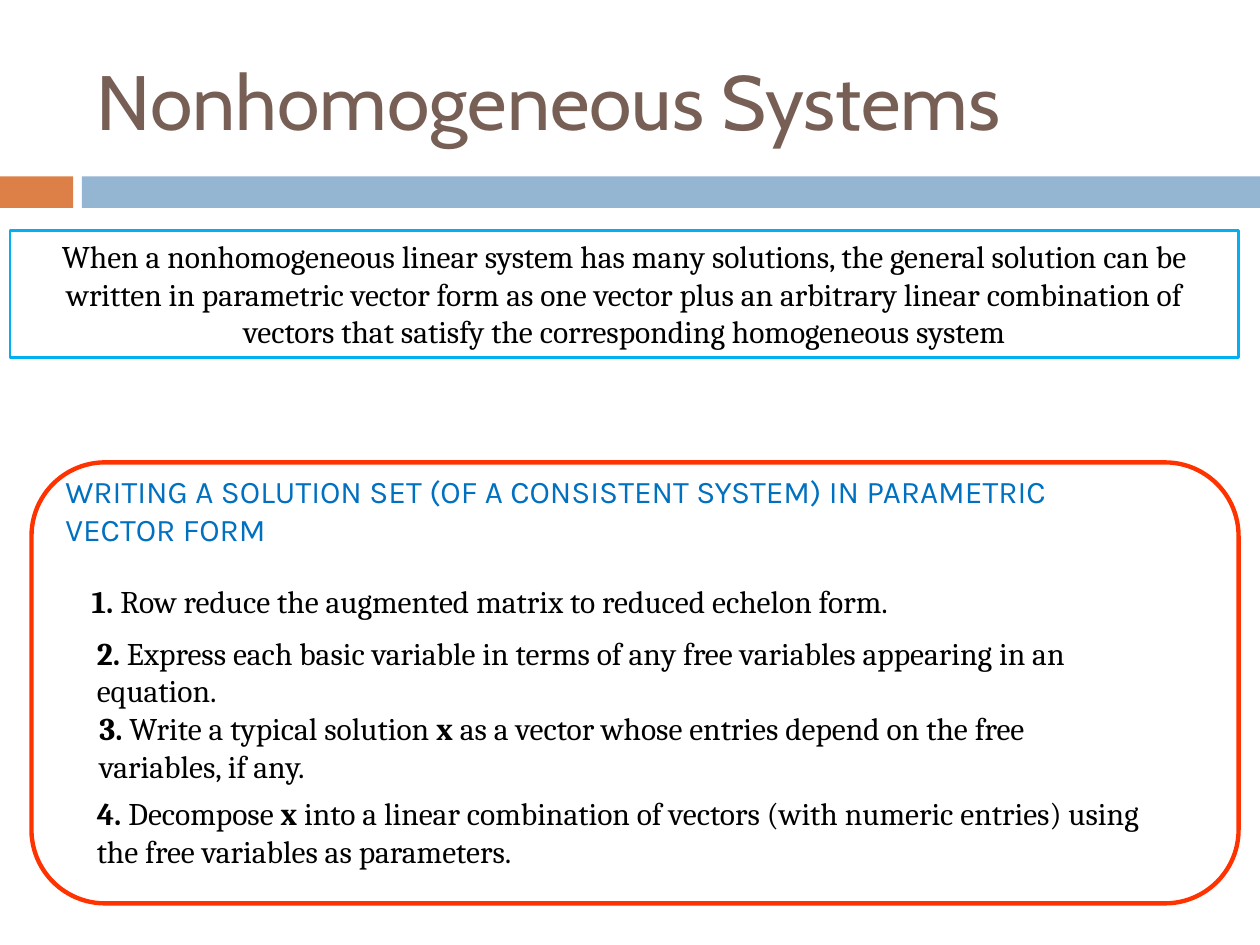
from pptx import Presentation
from pptx.dml.color import RGBColor
from pptx.enum.shapes import MSO_SHAPE
from pptx.enum.text import MSO_ANCHOR, PP_ALIGN
from pptx.util import Inches, Pt

BLACK = RGBColor(0x00, 0x00, 0x00)
BROWN = RGBColor(0x77, 0x5F, 0x55)
ORANGE = RGBColor(0xDD, 0x80, 0x47)
PALE_BLUE = RGBColor(0x94, 0xB6, 0xD2)
SKY_BLUE = RGBColor(0x00, 0xB0, 0xF0)
HEADING_BLUE = RGBColor(0x00, 0x70, 0xC0)
RED = RGBColor(0xFF, 0x33, 0x00)

SLIDE_WIDTH, SLIDE_HEIGHT = 10, 7.5
BAND_TOP, BAND_HEIGHT, BAND_SPLIT, BAND_GAP = 1.4, 0.25, 0.58, 0.07

TITLE = "Nonhomogeneous Systems"
STATEMENT = (
    "When a nonhomogeneous linear system has many solutions, the general solution "
    "can be written in parametric vector form as one vector plus an arbitrary linear "
    "combination of vectors that satisfy the corresponding homogeneous system"
)
HEADING = [
    ["WRITING A SOLUTION SET (OF A CONSISTENT SYSTEM) IN PARAMETRIC"],
    ["VECTOR FORM"],
]
# Each step: box, then paragraphs whose runs alternate between bold and regular.
STEPS = [
    ((0.63, 4.57, 8.67, 0.4),
     [["1. ", "Row reduce the augmented matrix to reduced echelon form."]]),
    ((0.67, 4.98, 8.92, 0.71),
     [["2. ", "Express each basic variable in terms of any free variables appearing in an"],
      ["", "equation."]]),
    ((0.69, 5.58, 9.14, 0.71),
     [["3. ", "Write a typical solution ", "x ",
       "as a vector whose entries depend on the free"],
      ["", "variables, if any."]]),
    ((0.67, 6.25, 8.83, 0.71),
     [["4. ", "Decompose ", "x ",
       "into a linear combination of vectors (with numeric entries) using "
       "the free variables as parameters."]]),
]


def add_box(slide, kind, box, fill=None, line=None, line_width=1.5):
    """Add a preset shape with an optional fill and outline."""
    shape = slide.shapes.add_shape(kind, *map(Inches, box))
    shape.shadow.inherit = False
    if fill is None:
        shape.fill.background()
    else:
        shape.fill.solid()
        shape.fill.fore_color.rgb = fill
    if line is None:
        shape.line.fill.background()
    else:
        shape.line.color.rgb = line
        shape.line.width = Pt(line_width)
    return shape


def write(shape, paragraphs, font="Cambria", size=18, color=BLACK,
          alternate_bold=False, align=PP_ALIGN.LEFT, anchor=MSO_ANCHOR.TOP):
    """Fill a shape with paragraphs, each a list of run texts."""
    frame = shape.text_frame
    frame.word_wrap = True
    frame.vertical_anchor = anchor
    for index, texts in enumerate(paragraphs):
        paragraph = frame.add_paragraph() if index else frame.paragraphs[0]
        paragraph.alignment = align
        for position, text in enumerate(texts):
            if not text:
                continue
            run = paragraph.add_run()
            run.text = text
            run.font.name = font
            run.font.size = Pt(size)
            run.font.color.rgb = color
            run.font.bold = alternate_bold and position % 2 == 0


def add_text(slide, box, paragraphs, **style):
    """Add a wrapped text box."""
    write(slide.shapes.add_textbox(*map(Inches, box)), paragraphs, **style)


def build():
    """Build and save the slide."""
    presentation = Presentation()
    presentation.slide_width = Inches(SLIDE_WIDTH)
    presentation.slide_height = Inches(SLIDE_HEIGHT)
    slide = presentation.slides.add_slide(presentation.slide_layouts[6])

    band_start = BAND_SPLIT + BAND_GAP
    for left, right, color in [(0, BAND_SPLIT, ORANGE),
                               (band_start, SLIDE_WIDTH, PALE_BLUE)]:
        add_box(slide, MSO_SHAPE.RECTANGLE,
                (left, BAND_TOP, right - left, BAND_HEIGHT), fill=color)

    add_text(slide, (0.67, 0.25, 8.92, 1.08), [[TITLE]], font="Cabin", size=44,
             color=BROWN, anchor=MSO_ANCHOR.MIDDLE)
    statement = add_box(slide, MSO_SHAPE.RECTANGLE, (0.08, 1.83, 9.75, 1.01),
                        line=SKY_BLUE)
    write(statement, [[STATEMENT]], align=PP_ALIGN.CENTER)

    add_text(slide, (0.42, 3.7, 9.42, 0.71), HEADING, font="Karla",
             color=HEADING_BLUE)
    for box, paragraphs in STEPS:
        add_text(slide, box, paragraphs, alternate_bold=True)
    add_box(slide, MSO_SHAPE.ROUNDED_RECTANGLE, (0.25, 3.67, 9.58, 3.5),
            line=RED, line_width=2.5)

    presentation.save("out.pptx")


build()
